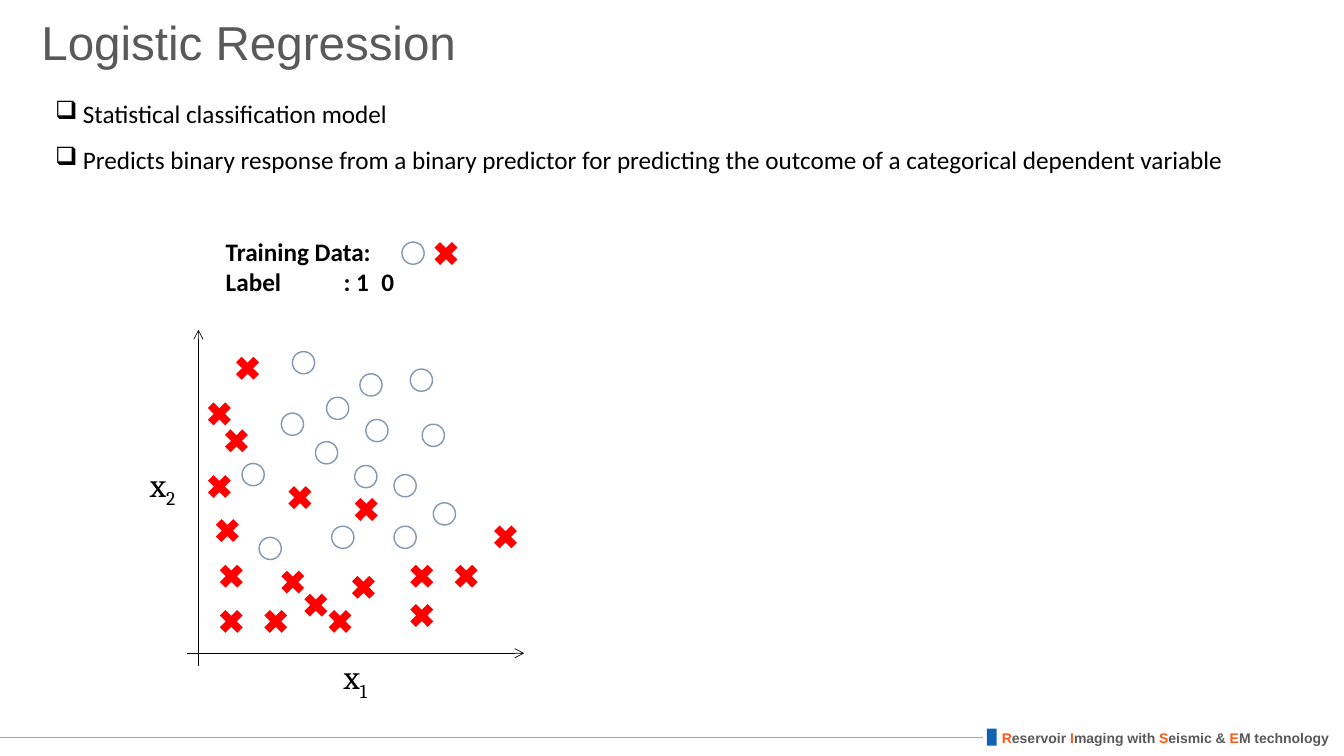
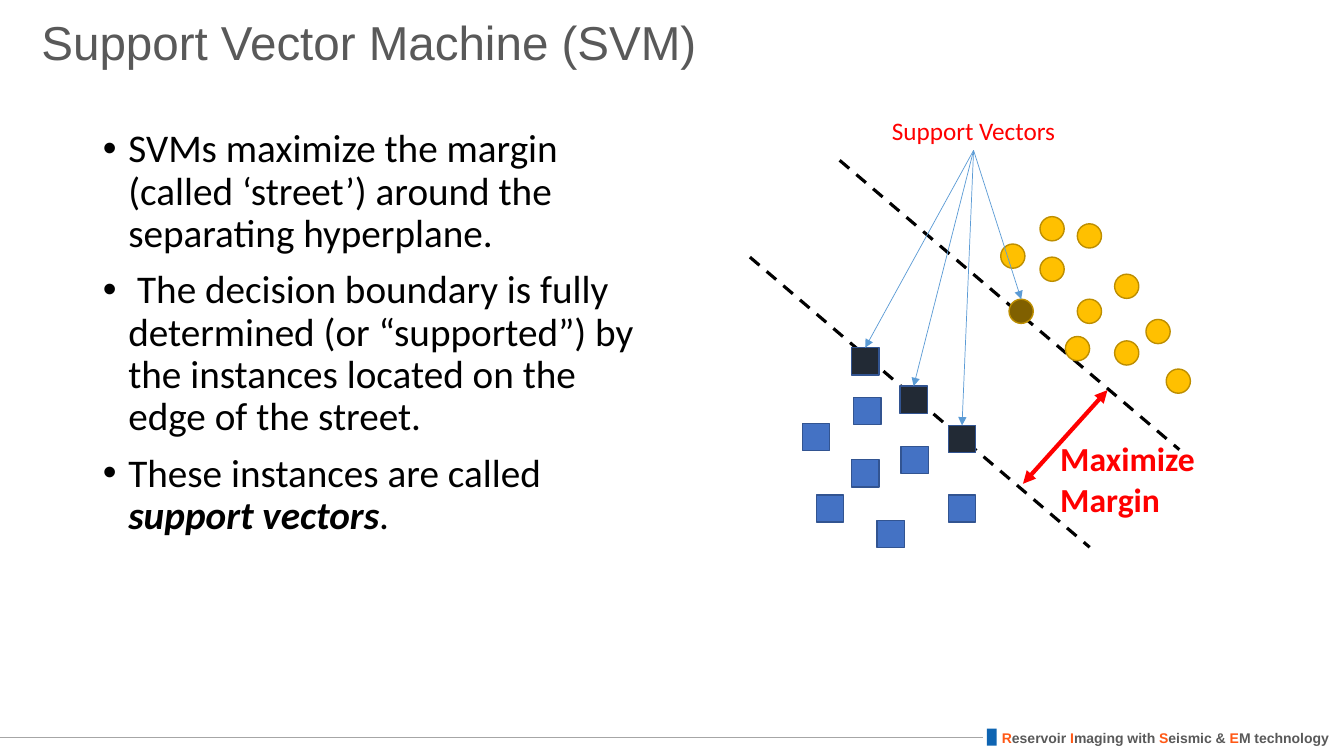
from lxml.etree import SubElement
from pptx import Presentation
from pptx.dml.color import RGBColor
from pptx.enum.dml import MSO_LINE_DASH_STYLE as Dash
from pptx.enum.shapes import MSO_CONNECTOR as Link, MSO_SHAPE as Shape
from pptx.enum.text import MSO_ANCHOR as Anchor, MSO_AUTO_SIZE as AutoSize, PP_ALIGN as Align
from pptx.oxml.ns import qn
from pptx.util import Cm, Pt

COLORS = {
    "black": "000000", "grey": "595959", "rule": "A6A6A6", "orange": "FF5815",
    "band": "0E64B2", "red": "FF0000", "ring": "8497B0", "navy": "222A35",
    "blue": "4472C4", "blue_edge": "325491", "brown": "806000",
    "yellow": "FFC000", "yellow_edge": "BD8E00", "arrow": "5B9BD5",
}

FOOTER = [
    ("R", "orange"), ("eservoir ", "grey"), ("I", "orange"), ("maging with ", "grey"),
    ("S", "orange"), ("eismic & ", "grey"), ("E", "orange"), ("M technology", "grey"),
]

REGRESSION_TITLE = "Logistic Regression"
REGRESSION_POINTS = [
    "Statistical classification model",
    "Predicts binary response from a binary predictor for predicting the outcome "
    "of a categorical dependent variable",
]
LEGEND = ["Training Data:", "Label\t: 1\t0"]
LEGEND_TABS = [2.97, 3.92]
AXES = [((5, 16.79), (5, 8.31)), ((4.72, 16.46), (13.21, 16.46))]
AXIS_LABELS = [("2", 3.53, 11.56), ("1", 8.41, 16.41)]
RING_SIZE, CROSS_SIZE = 0.56, 0.84
RINGS = [
    (10.13, 6.1), (7.95, 11.13), (8.94, 11.73), (9.93, 11.96), (10.92, 12.67),
    (9.93, 13.26), (6.1, 11.68), (8.36, 13.26), (7.09, 10.41), (8.23, 10.01),
    (10.64, 10.69), (7.37, 8.86), (9.22, 10.57), (9.07, 9.42), (10.34, 9.3),
    (6.53, 13.54),
]
CROSSES = [
    (10.82, 5.97), (6.96, 14.25), (7.54, 14.83), (8.15, 15.24), (8.74, 14.38),
    (5.31, 12.95), (5.41, 14.1), (5.41, 15.24), (6.53, 15.24), (5.11, 11.84),
    (10.21, 15.09), (11.33, 14.1), (12.32, 13.11), (10.21, 14.1), (5.11, 10.01),
    (5.54, 10.69), (5.82, 8.86), (8.81, 12.42), (7.14, 12.12),
]

SVM_TITLE = "Support Vector Machine (SVM)"
SVM_POINTS = [
    "SVMs maximize the margin (called ‘street’) around the separating hyperplane.",
    " The decision boundary is fully determined (or “supported”) by the instances "
    "located on the edge of the street.",
    "These instances are called",
]
SVM_ENDING = [(" support vectors", True), (".", False)]
MARGIN_LABEL = ["Maximize", "Margin"]
VECTORS_LABEL = ["Support Vectors"]
STREET_EDGES = [((18.9, 6.48), (27.46, 13.79)), ((21.16, 4.04), (29.72, 11.33))]
MARGIN_ARROW = ((27.91, 9.83), (25.78, 12.19))
SQUARE_SIZE, DOT_SIZE = 0.69, 0.61
SUPPORT_SQUARES = [(21.46, 8.76), (22.68, 9.73), (23.9, 10.72)]
SQUARES = [
    (23.9, 12.47), (22.71, 11.25), (21.51, 10.01), (20.22, 10.67),
    (21.46, 11.58), (22.1, 13.11), (20.57, 12.47),
]
SUPPORT_DOTS = [(25.43, 7.54)]
DOTS = [
    (26.85, 8.48), (28.09, 8.59), (27.15, 7.54), (26.21, 6.48), (25.22, 6.15),
    (28.09, 6.91), (28.88, 8.05), (27.15, 5.64), (26.21, 5.46), (29.39, 9.3),
]


def color(name):
    return RGBColor.from_string(COLORS[name])


def style(para, size, ink, font="Calibri", bold=None):
    para.font.size = Pt(size)
    para.font.name = font
    para.font.bold = bold
    if ink:
        para.font.color.rgb = color(ink)


def write(frame, lines, size, ink, bold=None, align=Align.LEFT, font="Calibri",
          bullet=None, hang=0, tabs=(), spacing=None, gap=0):
    for number, line in enumerate(lines):
        para = frame.paragraphs[0] if number == 0 else frame.add_paragraph()
        props = para._p.get_or_add_pPr()
        if bullet:
            props.set("marL", str(Cm(hang)))
            props.set("indent", str(-Cm(hang)))
            SubElement(props, qn("a:buChar"), char=bullet)
        if tabs:
            stops = SubElement(props, qn("a:tabLst"))
            for stop in tabs:
                SubElement(stops, qn("a:tab"), pos=str(Cm(stop)), algn="l")
        para.alignment = align
        para.line_spacing = spacing
        para.space_before = Pt(gap if number else 0)
        style(para, size, ink, font, bold)
        para.add_run().text = line


def place(shape, left, top, width, height):
    shape.left, shape.top = Cm(left), Cm(top)
    shape.width, shape.height = Cm(width), Cm(height)


def add_text(page, left, top, width, height, wrap=True):
    box = page.shapes.add_textbox(Cm(left), Cm(top), Cm(width), Cm(height))
    box.text_frame.word_wrap = wrap
    return box


def add_mark(page, kind, left, top, width, height, fill=None, edge=None):
    mark = page.shapes.add_shape(kind, Cm(left), Cm(top), Cm(width), Cm(height))
    mark.shadow.inherit = False
    if fill:
        mark.fill.solid()
        mark.fill.fore_color.rgb = color(fill)
    else:
        mark.fill.background()
    if edge:
        mark.line.color.rgb = color(edge)
        mark.line.width = Pt(1)
    else:
        mark.line.fill.background()
    return mark


def add_marks(page, kind, spots, size, fill=None, edge=None):
    return [add_mark(page, kind, left, top, size, size, fill, edge) for left, top in spots]


def add_line(page, start, end, ink, width, dash=None, head=None, tail=None):
    line = page.shapes.add_connector(Link.STRAIGHT, *map(Cm, start + end))
    line.line.color.rgb = color(ink)
    line.line.width = Pt(width)
    if dash:
        line.line.dash_style = dash
    for tag, arrow in (("a:headEnd", head), ("a:tailEnd", tail)):
        if arrow:
            SubElement(line.get_or_add_ln(), qn(tag), type=arrow)
    SubElement(line.element.spPr, qn("a:effectLst"))
    return line


def add_page(deck, layout, title):
    page = deck.slides.add_slide(deck.slide_layouts[layout])
    place(page.shapes.title, 0.79, 0, 29.21, 2.26)
    frame = page.shapes.title.text_frame
    frame.vertical_anchor = Anchor.MIDDLE
    frame.auto_size = AutoSize.NONE
    write(frame, [title], 34, "grey", font="Arial", spacing=0.9)
    return page


def add_master_footer(deck, page):
    box = add_text(page, 25, 18.26, 8.84, 0.69, wrap=False)
    para = box.text_frame.paragraphs[0]
    style(para, 10, None, "Arial", True)
    for text, ink in FOOTER:
        span = para.add_run()
        span.text = text
        span.font.color.rgb = color(ink)
    rule = add_line(page, (24.77, 18.57), (0, 18.57), "rule", 0.5)
    band = add_mark(page, Shape.RECTANGLE, 24.87, 18.36, 0.25, 0.43, "band")
    for part in (box, rule, band):
        deck.slide_master.shapes.element.append(part.element)


def build_regression(page):
    legend = add_text(page, 5.44, 5.82, 6.38, 1.8, wrap=False)
    write(legend.text_frame, LEGEND, 18, "black", bold=True, tabs=LEGEND_TABS)
    for start, end in AXES:
        add_line(page, start, end, "black", 0.5, tail="arrow")
    add_marks(page, Shape.OVAL, RINGS, RING_SIZE, edge="ring")
    add_marks(page, Shape.MATH_MULTIPLY, CROSSES, CROSS_SIZE, fill="red")
    for index, left, top in AXIS_LABELS:
        frame = add_text(page, left, top, 1.24, 1.27, wrap=False).text_frame
        write(frame, ["x"], 24, "black", font="Cambria")
        span = frame.paragraphs[0].add_run()
        span.text = index
        span._r.get_or_add_rPr().set("baseline", "-25000")
    points = add_text(page, 1.14, 1.98, 30.61, 2.44)
    write(points.text_frame, REGRESSION_POINTS, 18, "black", bullet="❑", hang=0.7, spacing=1.5)


def build_svm(page):
    for start, end in STREET_EDGES:
        add_line(page, start, end, "black", 2.25, dash=Dash.DASH)
    body = page.placeholders[1]
    place(body, 2.34, 3.12, 14.12, 15.42)
    body.text_frame.auto_size = AutoSize.NONE
    write(body.text_frame, SVM_POINTS, 28, "black", bullet="•", hang=0.64, spacing=0.9, gap=10)
    for text, strong in SVM_ENDING:
        span = body.text_frame.paragraphs[-1].add_run()
        span.text = text
        span.font.bold = span.font.italic = strong
    vectors = add_marks(page, Shape.RECTANGLE, SUPPORT_SQUARES, SQUARE_SIZE, "navy", "blue_edge")
    add_marks(page, Shape.RECTANGLE, SQUARES, SQUARE_SIZE, "blue", "blue_edge")
    vectors += add_marks(page, Shape.OVAL, SUPPORT_DOTS, DOT_SIZE, "brown", "yellow_edge")
    add_marks(page, Shape.OVAL, DOTS, DOT_SIZE, "yellow", "yellow_edge")
    add_line(page, *MARGIN_ARROW, "red", 3, head="triangle", tail="triangle")
    margin = add_text(page, 26.47, 10.92, 5.33, 2.31)
    write(margin.text_frame, MARGIN_LABEL, 24, "red", bold=True)
    label = add_text(page, 21.51, 2.77, 6.05, 1.02)
    write(label.text_frame, VECTORS_LABEL, 18, "red", align=Align.CENTER)
    for vector in vectors:
        arrow = add_line(page, (0, 0), (1, 1), "arrow", 0.5, tail="triangle")
        arrow.begin_connect(label, 2)
        arrow.end_connect(vector, 0)


def main():
    deck = Presentation()
    deck.slide_width, deck.slide_height = Cm(33.87), Cm(19.05)
    regression = add_page(deck, 5, REGRESSION_TITLE)
    add_master_footer(deck, regression)
    build_regression(regression)
    build_svm(add_page(deck, 1, SVM_TITLE))
    deck.save("out.pptx")


if __name__ == "__main__":
    main()
